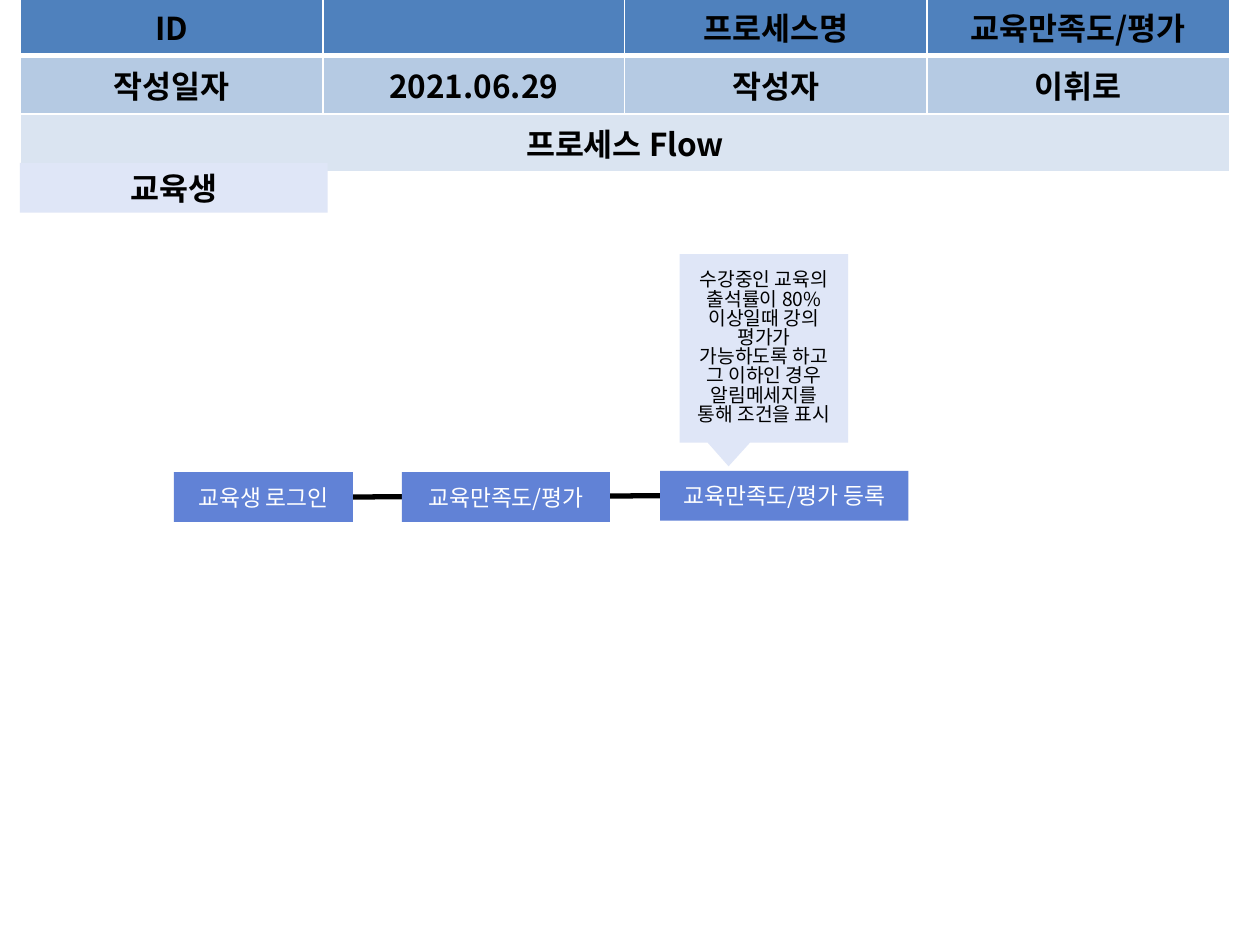
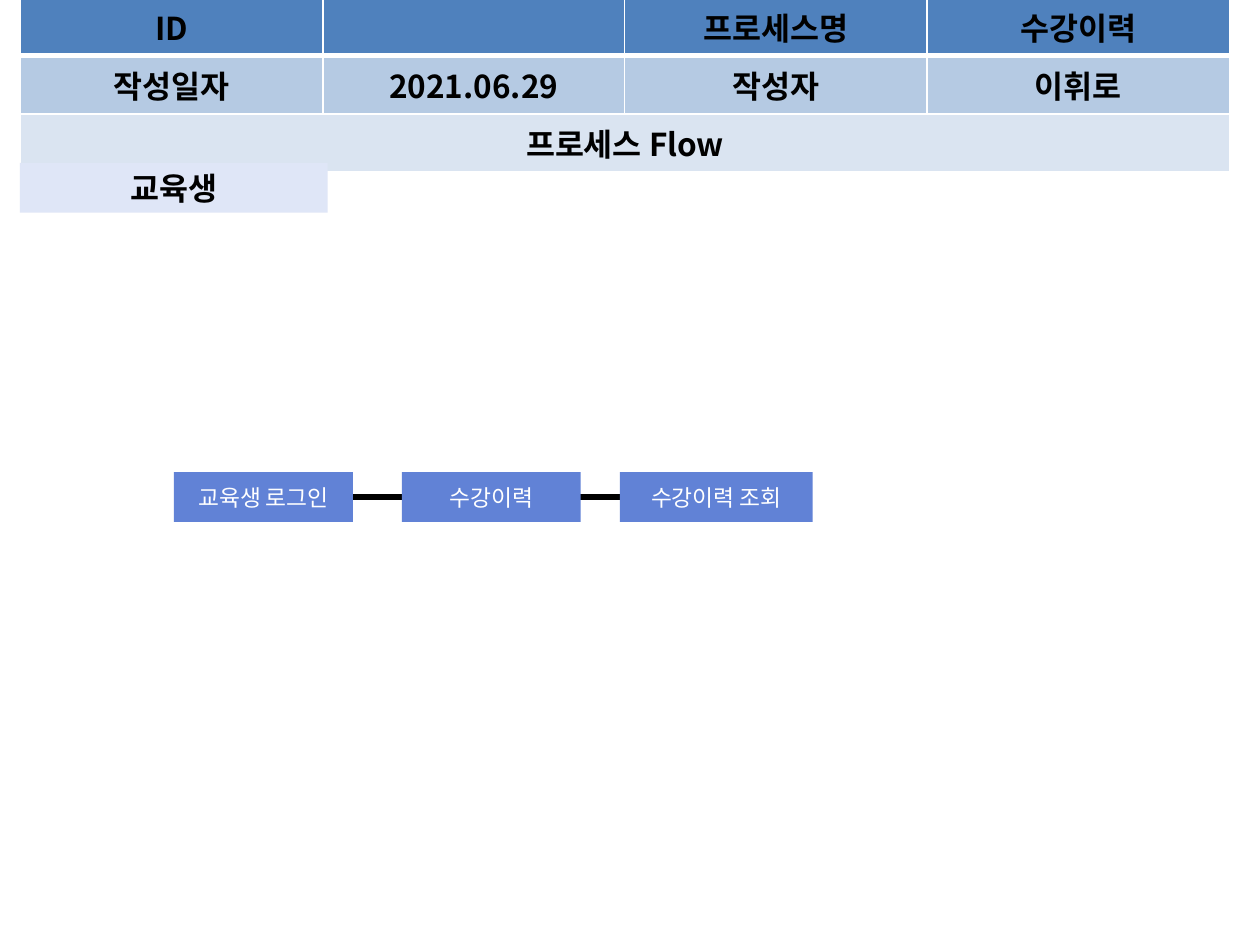
from dataclasses import dataclass

from lxml.etree import SubElement
from pptx import Presentation
from pptx.dml.color import RGBColor
from pptx.enum.shapes import MSO_CONNECTOR, MSO_SHAPE
from pptx.enum.text import MSO_ANCHOR, PP_ALIGN
from pptx.oxml import parse_xml
from pptx.oxml.ns import nsdecls, qn
from pptx.util import Pt


@dataclass(frozen=True)
class Theme:
    """Colours, font and type sizes shared by the slides."""

    font: str = "Noto Sans CJK KR"
    ink: str = "000000"
    paper: str = "FFFFFF"
    rows: tuple = ("4F81BD", "B5CAE3", "DAE4F1")
    pale: str = "DFE6F7"
    step: str = "6182D6"
    heading: float = 18
    label: float = 13
    note: float = 11


@dataclass(frozen=True)
class Step:
    """One box of a flow, measured in points."""

    text: str
    left: float
    width: float
    top: float = 269.8


THEME = Theme()
STEP_HEIGHT = 28.4
COLUMNS = (73.4, 99.4, 172.4, 172.8, 172.8)
ROW_HEIGHT = 29.3

LOGIN = Step("교육생 로그인", 99.4, 102.2)
FLOWS = (
    ("교육만족도/평가", (LOGIN, Step("교육만족도/평가", 229.7, 118.8),
                  Step("교육만족도/평가 등록", 377.3, 141.8, 269.1))),
    ("수강이력", (LOGIN, Step("수강이력", 229.7, 102.2),
              Step("수강이력 조회", 354.2, 110.2))),
)
CONDITION = ("수강중인 교육의 출석률이 80%이상일때 강의 평가가 가능하도록 하고 "
             "그 이하인 경우 알림메세지를 통해 조건을 표시")


def write(frame, text, size, color, bold=False):
    """Put one centred, formatted paragraph in a text frame."""
    frame.text = text
    para = frame.paragraphs[0]
    para.alignment = PP_ALIGN.CENTER
    for span in para.runs:
        span.font.name = THEME.font
        span.font.size = Pt(size)
        span.font.bold = bold
        span.font.color.rgb = RGBColor.from_string(color)
        SubElement(span.font._element, qn("a:ea"), typeface=THEME.font)
    return para


def add_box(page, preset, place, fill, text, size, color, bold=False):
    """Add a filled shape with middle-anchored text and return it."""
    box = page.shapes.add_shape(preset, *(Pt(length) for length in place))
    box.shadow.inherit = False
    box.fill.solid()
    box.fill.fore_color.rgb = RGBColor.from_string(fill)
    box.line.fill.background()
    box.text_frame.word_wrap = True
    box.text_frame.vertical_anchor = MSO_ANCHOR.MIDDLE
    write(box.text_frame, text, size, color, bold)
    return box


def set_borders(cell, top, bottom):
    """Draw white borders round a cell, with the given top and bottom widths."""
    properties = cell._tc.get_or_add_tcPr()
    widths = {"lnL": 1, "lnR": 1, "lnT": top, "lnB": bottom}
    for index, (side, width) in enumerate(widths.items()):
        properties.insert(index, parse_xml(
            f'<a:{side} {nsdecls("a")} w="{Pt(width)}"><a:solidFill>'
            f'<a:srgbClr val="{THEME.paper}"/></a:solidFill></a:{side}>'))


def add_header(page, process):
    """Add the table that identifies the process."""
    rows = (("ID", "", "", "프로세스명", process),
            ("작성일자", "", "2021.06.29", "작성자", "이휘로"),
            ("프로세스 Flow", "", "", "", ""))
    table = page.shapes.add_table(
        len(rows), len(COLUMNS), Pt(11.8), Pt(-1.5),
        Pt(sum(COLUMNS)), Pt(ROW_HEIGHT * len(rows))).table
    for column, width in zip(table.columns, COLUMNS):
        column.width = Pt(width)
    for number, texts in enumerate(rows):
        table.rows[number].height = Pt(ROW_HEIGHT)
        for index, text in enumerate(texts):
            cell = table.cell(number, index)
            cell.fill.solid()
            cell.fill.fore_color.rgb = RGBColor.from_string(THEME.rows[number])
            set_borders(cell, 3 if number == 1 else 1, 3 if number == 0 else 1)
            write(cell.text_frame, text, THEME.heading, THEME.ink, bold=True)
        last = len(COLUMNS) - 1 if number == 2 else 1
        table.cell(number, 0).merge(table.cell(number, last))


def add_flow(page, steps):
    """Add the step boxes over the line that joins them."""
    first, last = steps[0], steps[-1]
    line = page.shapes.add_connector(
        MSO_CONNECTOR.STRAIGHT,
        Pt(first.left + first.width), Pt(first.top + STEP_HEIGHT / 2),
        Pt(last.left), Pt(last.top + STEP_HEIGHT / 2))
    line.line.width = Pt(3)
    line.line.color.rgb = RGBColor.from_string(THEME.ink)
    SubElement(line._element.spPr, qn("a:effectLst"))
    for step in steps:
        add_box(page, MSO_SHAPE.RECTANGLE,
                (step.left, step.top, step.width, STEP_HEIGHT),
                THEME.step, step.text, THEME.label, THEME.paper)


def add_callout(page, text):
    """Add the note that points at the last step."""
    box = add_box(page, MSO_SHAPE.RECTANGULAR_CALLOUT, (388.4, 145.2, 96.3, 107.8),
                  THEME.pale, text, THEME.note, THEME.ink)
    box.adjustments[0] = -0.21
    box.adjustments[1] = 0.625
    box.text_frame.paragraphs[0].line_spacing = 0.83


def main():
    """Build the deck and save it."""
    deck = Presentation()
    deck.slide_width, deck.slide_height = Pt(720), Pt(540)
    for process, steps in FLOWS:
        page = deck.slides.add_slide(deck.slide_layouts[6])
        add_header(page, process)
        add_box(page, MSO_SHAPE.RECTANGLE, (11.4, 93.1, 175.8, STEP_HEIGHT),
                THEME.pale, "교육생", THEME.heading, THEME.ink, bold=True)
        add_flow(page, steps)
    add_callout(deck.slides[0], CONDITION)
    deck.save("out.pptx")


main()
